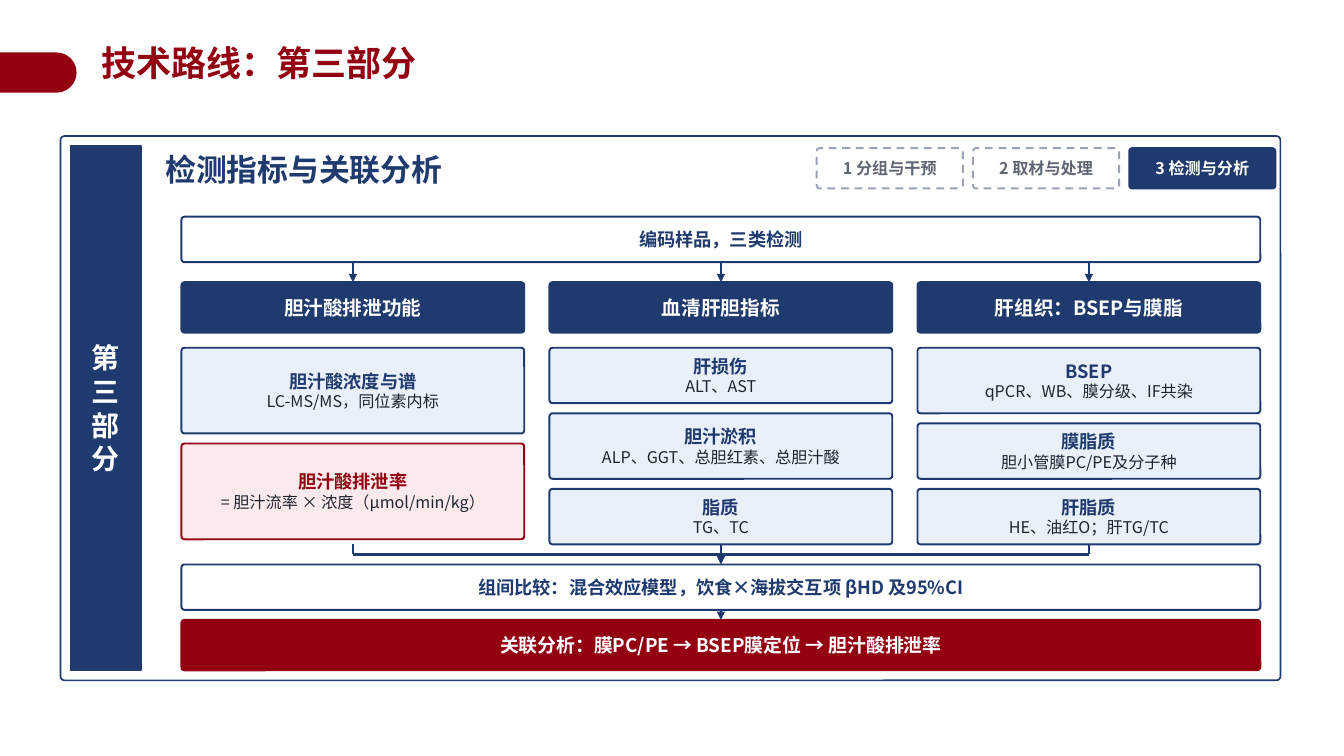
from lxml.etree import SubElement
from pptx import Presentation
from pptx.dml.color import RGBColor
from pptx.enum.dml import MSO_LINE
from pptx.enum.shapes import MSO_CONNECTOR, MSO_SHAPE
from pptx.enum.text import MSO_ANCHOR, PP_ALIGN
from pptx.oxml.ns import qn
from pptx.util import Pt

TITLE = "技术路线：第三部分"
PART = ["第", "三", "部", "分"]
HEADING = "检测指标与关联分析"
STAGES = ["1 分组与干预", "2 取材与处理", "3 检测与分析"]
SAMPLES = "编码样品，三类检测"
COMPARISON = "组间比较：混合效应模型，饮食×海拔交互项 βHD 及95%CI"
ASSOCIATION = "关联分析：膜PC/PE → BSEP膜定位 → 胆汁酸排泄率"
COLUMNS = [
    ("胆汁酸排泄功能", [
        (85, "胆汁酸浓度与谱", "LC-MS/MS，同位素内标", False),
        (95, "胆汁酸排泄率", "= 胆汁流率 × 浓度（μmol/min/kg）", True),
    ]),
    ("血清肝胆指标", [
        (55, "肝损伤", "ALT、AST", False),
        (65, "胆汁淤积", "ALP、GGT、总胆红素、总胆汁酸", False),
        (55, "脂质", "TG、TC", False),
    ]),
    ("肝组织：BSEP与膜脂", [
        (65, "BSEP", "qPCR、WB、膜分级、IF共染", False),
        (55, "膜脂质", "胆小管膜PC/PE及分子种", False),
        (55, "肝脂质", "HE、油红O；肝TG/TC", False),
    ]),
]
COLORS = {
    "navy": "1F3A6E", "red": "920011", "white": "FFFFFF", "pale_blue": "EAF0FA",
    "pale_red": "FBEAEC", "ink": "1E2430", "gray": "5E6673", "dash": "9AA3B2",
}
FONT = "Noto Sans CJK SC"
PX = 9144
LEFT, WIDTH = 180, 1070
COLUMN_WIDTH, COLUMN_STEP = 340, 365
CARD_TOP, CARD_GAP = 345, 10
MERGE_TOP, MERGE_BUS, MERGE_END = 540, 550, 560
RADIUS = 3

deck = Presentation()
deck.slide_width, deck.slide_height = 1333 * PX, 750 * PX
page = deck.slides.add_slide(deck.slide_layouts[5])


def rgb(name):
    return RGBColor.from_string(COLORS[name])


def write(shape, lines, size=13, color="navy", bold=True, align=PP_ALIGN.CENTER,
          anchor=MSO_ANCHOR.MIDDLE, margins=(4, 2, 4, 2), spacing=None):
    frame = shape.text_frame
    frame.word_wrap = True
    frame.vertical_anchor = anchor
    (frame.margin_left, frame.margin_top,
     frame.margin_right, frame.margin_bottom) = [margin * PX for margin in margins]
    for index, line in enumerate(lines):
        text, line_size, line_color, line_bold = (
            (line, size, color, bold) if isinstance(line, str) else line)
        para = frame.paragraphs[0] if index == 0 else frame.add_paragraph()
        para.alignment = align
        para.space_before = Pt(0)
        if spacing:
            para.line_spacing = spacing
        span = para.add_run()
        span.text = text
        span.font.size = Pt(line_size)
        span.font.bold = line_bold
        span.font.name = FONT
        span.font.color.rgb = rgb(line_color)
        SubElement(span.font._element, qn("a:ea")).set("typeface", FONT)


def add_box(left, top, width, height, lines=(), fill=None, line="navy", weight=1.4,
            kind=MSO_SHAPE.ROUNDED_RECTANGLE, radius=RADIUS, dashed=False, **text_format):
    box = page.shapes.add_shape(kind, left * PX, top * PX, width * PX, height * PX)
    box.shadow.inherit = False
    if kind == MSO_SHAPE.ROUNDED_RECTANGLE:
        box.adjustments[0] = radius / min(width, height)
    if fill:
        box.fill.solid()
        box.fill.fore_color.rgb = rgb(fill)
    else:
        box.fill.background()
    box.line.color.rgb = rgb(line)
    box.line.width = Pt(weight)
    if dashed:
        box.line.dash_style = MSO_LINE.DASH
    if lines:
        write(box, lines, **text_format)
    return box


def add_line(x1, y1, x2, y2, arrow=False, start=None, end=None):
    connector = page.shapes.add_connector(
        MSO_CONNECTOR.STRAIGHT, x1 * PX, y1 * PX, x2 * PX, y2 * PX)
    connector.line.color.rgb = rgb("navy")
    connector.line.width = Pt(1.6)
    if arrow:
        SubElement(connector.line._get_or_add_ln(), qn("a:tailEnd")).set("type", "triangle")
    SubElement(connector._element.spPr, qn("a:effectLst"))
    if start is not None:
        connector.begin_connect(start, 2)
    if end is not None:
        connector.end_connect(end, 0)


def add_title():
    pill_length, pill_height, pill_middle = 76, 40, 72
    pill = add_box((pill_length - pill_height) // 2, pill_middle - pill_length // 2,
                   pill_height, pill_length, fill="red",
                   kind=MSO_SHAPE.ROUND_2_SAME_RECTANGLE)
    pill.line.fill.background()
    pill.adjustments[0] = 0.5
    pill.rotation = 90
    title = page.shapes.title
    title.left, title.top, title.width, title.height = [
        length * PX for length in (91, 46, 1160, 53)]
    write(title, [TITLE], size=25, color="red", align=PP_ALIGN.LEFT,
          anchor=MSO_ANCHOR.TOP, margins=(10, 0, 10, 0), spacing=0.9)


def add_frame():
    add_box(60, 135, 1210, 540, weight=1.2, radius=4)
    add_box(70, 145, 70, 520, PART, fill="navy", weight=1.2,
            kind=MSO_SHAPE.RECTANGLE, size=20, color="white")
    heading = page.shapes.add_textbox(160 * PX, 140 * PX, 660 * PX, 55 * PX)
    write(heading, [HEADING], size=22, align=PP_ALIGN.LEFT)
    for index, stage in enumerate(STAGES):
        current = index == len(STAGES) - 1
        add_box(810 + 155 * index, 147, 145, 40, [stage], size=11.5,
                fill="navy" if current else "white",
                line="navy" if current else "dash",
                color="white" if current else "gray", dashed=not current)


def add_flow():
    middle = LEFT + WIDTH // 2
    samples = add_box(LEFT, 215, WIDTH, 45, [SAMPLES], fill="white")
    comparison = add_box(LEFT, MERGE_END, WIDTH, 45, [COMPARISON], fill="white")
    association = add_box(LEFT, 615, WIDTH, 50, [ASSOCIATION], fill="red", line="red",
                          size=13.5, color="white")
    centers = []
    for index, (name, cards) in enumerate(COLUMNS):
        left = LEFT + COLUMN_STEP * index
        center = left + COLUMN_WIDTH // 2
        centers.append(center)
        header = add_box(left, 280, COLUMN_WIDTH, 50, [name], fill="navy",
                         size=14, color="white")
        add_line(center, 260, center, 280, arrow=True,
                 start=samples if center == middle else None, end=header)
        top = CARD_TOP
        for height, label, detail, key in cards:
            accent = "red" if key else "navy"
            card = add_box(left, top, COLUMN_WIDTH, height,
                           [label, (detail, 11.5, "ink", False)],
                           fill="pale_red" if key else "pale_blue",
                           line=accent, color=accent)
            top += height + CARD_GAP
        bottom = top - CARD_GAP
        add_line(center, MERGE_TOP, center, MERGE_BUS,
                 start=card if bottom == MERGE_TOP else None)
    add_line(centers[0], MERGE_BUS, centers[-1], MERGE_BUS)
    add_line(middle, MERGE_BUS, middle, MERGE_END, arrow=True, end=comparison)
    add_line(middle, 605, middle, 615, arrow=True, start=comparison, end=association)


add_title()
add_frame()
add_flow()
deck.save("out.pptx")
